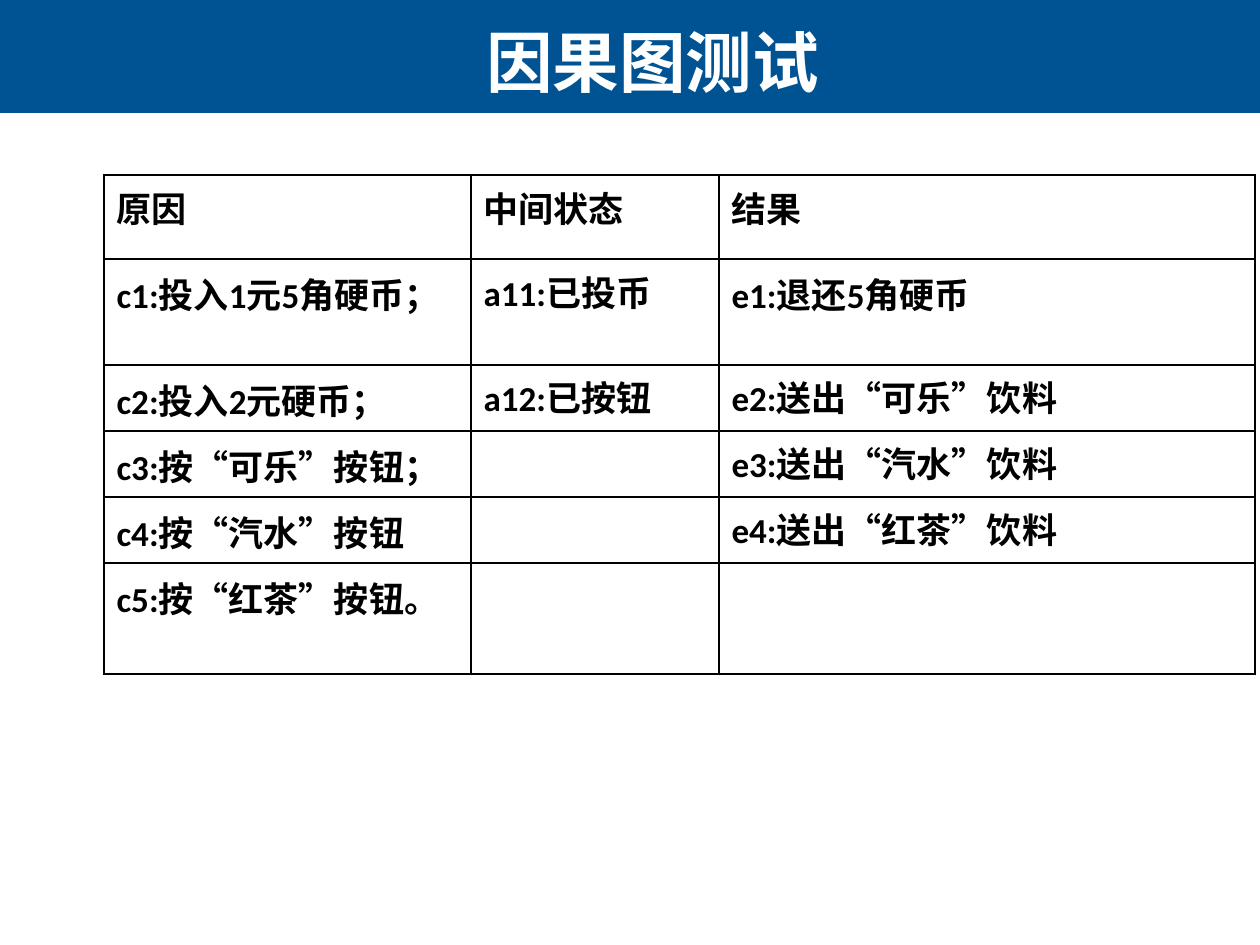
import pptx
import pptx.dml.color
import pptx.enum.shapes
import pptx.enum.text
import pptx.oxml
import pptx.oxml.ns
import pptx.util

SCALE = 914400 // 126
BLUE = pptx.dml.color.RGBColor(0x00, 0x53, 0x92)
WHITE = pptx.dml.color.RGBColor(0xFF, 0xFF, 0xFF)
BLACK = pptx.dml.color.RGBColor(0x00, 0x00, 0x00)
HAN = "Noto Sans CJK SC"


def px(n):
    """Turn pixels into EMU."""
    return pptx.util.Emu(round(n * SCALE))


class Page:
    """The current slide and its style."""

    def __init__(self, deck):
        """Add a blank slide."""
        self.slide = deck.slides.add_slide(deck.slide_layouts[6])
        self.shapes = self.slide.shapes

    def label(self, para, text, size, color, font):
        """Add one bold run with Latin and Han fonts."""
        run = para.add_run()
        run.text = text
        run.font.size = pptx.util.Pt(size)
        run.font.bold = True
        run.font.color.rgb = color
        run.font.name = font
        east = pptx.oxml.parse_xml(
            f'<a:ea {pptx.oxml.ns.nsdecls("a")} typeface="{HAN}"/>')
        run.font._element.find(pptx.oxml.ns.qn("a:latin")).addnext(east)

    def band(self, x, y, w, h, color):
        """Draw a plain filled bar."""
        kind = pptx.enum.shapes.MSO_SHAPE.RECTANGLE
        bar = self.shapes.add_shape(kind, px(x), px(y), px(w), px(h))
        bar.shadow.inherit = False
        bar.fill.solid()
        bar.fill.fore_color.rgb = color
        bar.line.fill.background()

    def title(self, x, y, w, h, text):
        """Add the centred heading."""
        frame = self.shapes.add_textbox(px(x), px(y), px(w), px(h)).text_frame
        frame.word_wrap = True
        frame.vertical_anchor = pptx.enum.text.MSO_ANCHOR.MIDDLE
        para = frame.paragraphs[0]
        para.alignment = pptx.enum.text.PP_ALIGN.CENTER
        self.label(para, text, 38, WHITE, HAN)

    def edge(self, cell):
        """Put a thin black line on all four sides of a cell."""
        props = cell._tc.get_or_add_tcPr()
        for n, side in enumerate(("lnL", "lnR", "lnT", "lnB")):
            props.insert(n, pptx.oxml.parse_xml(
                f'<a:{side} {pptx.oxml.ns.nsdecls("a")} w="12700"><a:solidFill>'
                f'<a:srgbClr val="{BLACK}"/></a:solidFill></a:{side}>'))

    def table(self, x, y, cols, rows, data, loose):
        """Add a ruled table; cells named in loose get wider line spacing."""
        grid = self.shapes.add_table(len(rows), len(cols), px(x), px(y),
                                     px(sum(cols)), px(sum(rows))).table
        grid.first_row = grid.horz_banding = False
        for col, w in zip(grid.columns, cols):
            col.width = px(w)
        for r, (h, texts) in enumerate(zip(rows, data)):
            grid.rows[r].height = px(h)
            for c, text in enumerate(texts):
                cell = grid.cell(r, c)
                cell.fill.background()
                self.edge(cell)
                para = cell.text_frame.paragraphs[0]
                if text:
                    font = "Calibri" if r else "Open Sans"
                    self.label(para, text, 20, BLACK, font)
                else:
                    para.font.size = pptx.util.Pt(20)
                if text[:2] in loose:
                    para.line_spacing = 1.05


CELLS = [
    ("原因", "中间状态", "结果"),
    ("c1:投入1元5角硬币；", "a11:已投币", "e1:退还5角硬币"),
    ("c2:投入2元硬币；", "a12:已按钮", "e2:送出“可乐”饮料"),
    ("c3:按“可乐”按钮；", "", "e3:送出“汽水”饮料"),
    ("c4:按“汽水”按钮", "", "e4:送出“红茶”饮料"),
    ("c5:按“红茶”按钮。", "", ""),
]

deck = pptx.Presentation()
deck.slide_width, deck.slide_height = px(1260), px(945)
page = Page(deck)
page.band(0, 0, 1260, 113, BLUE)
page.title(101, -23, 1103, 168, "因果图测试")
page.table(104, 175, (367, 248, 536), (84, 106, 66, 66, 66, 111), CELLS,
           ("c1", "c2", "c3", "c4", "c5", "e1"))
deck.save("out.pptx")
